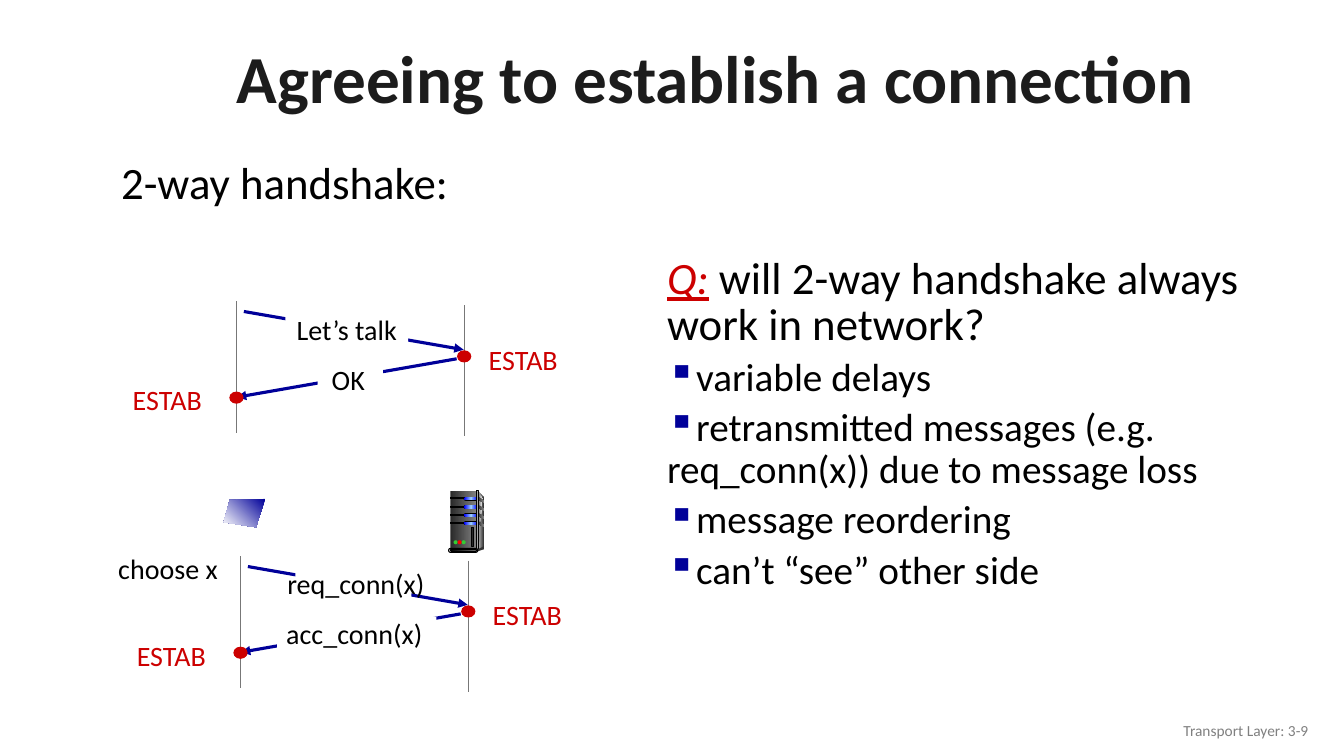
from copy import deepcopy
from dataclasses import dataclass
from typing import Any, Optional

from lxml import etree
from pptx import Presentation
from pptx.dml.color import RGBColor
from pptx.enum.shapes import MSO_CONNECTOR as Link, MSO_SHAPE as Preset
from pptx.enum.text import MSO_ANCHOR as Anchor, MSO_AUTO_SIZE as Fit, PP_ALIGN as Align
from pptx.oxml.ns import qn
from pptx.util import Pt

BLUE, RED, BLACK, WHITE = "000099", "CC0000", "000000", "FFFFFF"
METAL = ("292929", "808080")
GLOW = ("0000FF", "99CCFF", "0000FF")
LABEL_HEIGHT = 31.7


@dataclass
class Label:
    text: str
    left: float
    top: float
    width: float
    colour: str = BLACK
    size: float = 20
    align: Align = Align.CENTER
    fill: Optional[str] = None
    height: float = LABEL_HEIGHT


@dataclass
class Arrow:
    start: tuple[float, float]
    end: tuple[float, float]
    colour: str = BLUE
    width: float = 2.25
    head: bool = True


@dataclass
class Handshake:
    """One exchange: its offset, the gaps cut in the arrows, and the message labels."""
    dx: float
    dy: float
    gaps: list[tuple[float, float, float, float]]
    messages: list[Label]


def rgb(colour: str) -> RGBColor:
    return RGBColor.from_string(colour)


def set_format(target: Any, values: dict[str, Any]) -> None:
    for name, value in values.items():
        setattr(target, name, value)


def style_text(span: Any, size: float, colour: str, **extra: Any) -> None:
    set_format(span.font, {"name": "Calibri", "size": Pt(size), **extra})
    span.font.color.rgb = rgb(colour)


def paint(shape: Any, colours: tuple[str, ...], line: Optional[str] = None, angle: float = 0) -> None:
    """Fill with one colour, or with an even gradient of several."""
    shape.shadow.inherit = False
    if len(colours) == 1:
        shape.fill.solid()
        shape.fill.fore_color.rgb = rgb(colours[0])
    else:
        shape.fill.gradient()
        shape.fill.gradient_angle = angle
        stop_list = shape._element.spPr.find(".//" + qn("a:gsLst"))
        while len(stop_list) < len(colours):
            stop_list.append(deepcopy(stop_list[0]))
        for index, (stop, colour) in enumerate(zip(shape.fill.gradient_stops, colours)):
            stop.position = index / (len(colours) - 1)
            stop.color.rgb = rgb(colour)
    if line:
        shape.line.color.rgb = rgb(line)
        shape.line.width = Pt(0.75)
    else:
        shape.line.fill.background()


def add_preset(shapes: Any, kind: Preset, at: tuple[float, ...], *colours: str,
               line: Optional[str] = None) -> None:
    shape = shapes.add_shape(kind, *map(Pt, at))
    if kind == Preset.ROUNDED_RECTANGLE:
        shape.adjustments[0] = 0.5
    paint(shape, colours, line)


def add_outline(shapes: Any, points: list[tuple[float, float]], *colours: str, angle: float = 0) -> None:
    corners = [(Pt(x), Pt(y)) for x, y in points]
    builder = shapes.build_freeform(*corners[0], scale=1.0)
    builder.add_line_segments(corners[1:], close=True)
    paint(builder.convert_to_shape(), colours, angle=angle)


def add_label(shapes: Any, label: Label, dx: float = 0, dy: float = 0) -> None:
    box = shapes.add_textbox(Pt(label.left + dx), Pt(label.top + dy), Pt(label.width), Pt(label.height))
    if label.fill:
        box.fill.solid()
        box.fill.fore_color.rgb = rgb(label.fill)
    set_format(box.text_frame, {"word_wrap": False, "auto_size": Fit.SHAPE_TO_FIT_TEXT})
    para = box.text_frame.paragraphs[0]
    para.alignment = label.align
    span = para.add_run()
    span.text = label.text
    style_text(span, label.size, label.colour)


def add_arrow(shapes: Any, arrow: Arrow, dx: float, dy: float) -> None:
    (x1, y1), (x2, y2) = arrow.start, arrow.end
    line = shapes.add_connector(Link.STRAIGHT, Pt(x1 + dx), Pt(y1 + dy), Pt(x2 + dx), Pt(y2 + dy))
    line.line.color.rgb = rgb(arrow.colour)
    line.line.width = Pt(arrow.width)
    if arrow.head:
        etree.SubElement(line.line._get_or_add_ln(), qn("a:tailEnd"), type="triangle")
    etree.SubElement(line._element.spPr, qn("a:effectLst"))


def add_handshake(shapes: Any, shake: Handshake) -> None:
    dx, dy = shake.dx, shake.dy
    for arrow in (
        Arrow((174.2, 222.5), (331.2, 249.8)),
        Arrow((169.2, 215.3), (169.2, 309.6), "777777", 0.75, False),
        Arrow((331.9, 218.2), (331.9, 311.8), "777777", 0.75, False),
        Arrow((326.2, 256.3), (169.2, 283.7)),
    ):
        add_arrow(shapes, arrow, dx, dy)
    for gap in shake.gaps:
        add_preset(shapes, Preset.RECTANGLE, gap, WHITE)
    for message in shake.messages:
        add_label(shapes, message)
    for left, top in ((340.6, 241.2), (86.4, 270)):
        add_label(shapes, Label("ESTAB", left, top, 66.2, RED), dx, dy)
    for left, top in ((164.2, 280.1), (326.9, 250.6)):
        add_preset(shapes, Preset.OVAL, (left + dx, top + dy, 9.4, 7.9), RED, line=RED)


def add_server(shapes: Any) -> None:
    parts = shapes.add_group_shape().shapes
    pill = Preset.ROUNDED_RECTANGLE
    add_outline(parts, [(341.3, 350.6), (345.6, 355.7), (345.6, 391), (340.6, 392.4)], "DDDDDD", "333333")
    add_preset(parts, Preset.RECTANGLE, (321.8, 350.6, 18.7, 41.8), *METAL)
    add_outline(parts, [(342, 352.8), (344.9, 356.4), (342.7, 374), (342, 391)], "808080", "F8F8F8")
    for bay in range(4):
        top = 355 + 5.76 * bay
        add_preset(parts, Preset.RECTANGLE, (321.8, top + 0.7, 10.4, 0.7), BLACK, line=BLACK)
        add_preset(parts, pill, (331.2, top, 10.1, 2.7), BLACK)
        add_preset(parts, pill, (331.6, top + 0.3, 9.6, 2.2), *GLOW)
        vent = [(341.3, top), (345.6, top + 2.5), (345.6, top + 4), (341, top + 1.7)]
        add_outline(parts, vent, *METAL)
    add_preset(parts, Preset.RECTANGLE, (340.6, 350.6, 1.4, 41.8), "333333", "DDDDDD", "333333", line=BLACK)
    add_preset(parts, Preset.OVAL, (344.9, 390.2, 0.7, 1.4), "333333")
    add_outline(parts, [(341.3, 392.4), (341.3, 393.8), (345.6, 392.4), (345.6, 390.2)], "333333")
    add_preset(parts, pill, (320.4, 391.7, 20.9, 2.9), "DDDDDD", line=BLACK)
    add_preset(parts, pill, (321.8, 392.4, 18.7, 1.4), BLACK, "808080", line=BLACK)
    for index, colour in enumerate(("33CC33", "FF0000", "33CC33")):
        add_preset(parts, Preset.OVAL, (324 + 2.9 * index, 385.9, 2.9, 2.9), colour)
    add_preset(parts, Preset.RECTANGLE, (337, 376.6, 1.4, 13.7), "292929", line=BLACK)


def add_question(shapes: Any) -> None:
    frame = shapes.add_textbox(Pt(469.4), Pt(180.7), Pt(434.9), Pt(281.5)).text_frame
    frame.word_wrap = True
    para = frame.paragraphs[0]
    set_format(para._p.get_or_add_pPr(), {"marL": Pt(22.3), "indent": Pt(-22.3)})
    para.line_spacing = 0.85
    for text, colour, marked in (("Q:", RED, True),
                                 (" will 2-way handshake always work in network?", BLACK, False)):
        span = para.add_run()
        span.text = text
        style_text(span, 32, colour, italic=marked, underline=marked)
    for text in ("variable delays", "retransmitted messages (e.g. req_conn(x)) due to message loss",
                 "message reordering", "can’t “see” other side"):
        para = frame.add_paragraph()
        props = para._p.get_or_add_pPr()
        set_format(props, {"marL": Pt(27.4), "indent": Pt(-22.3)})
        bullet_colour = etree.SubElement(props, qn("a:buClr"))
        etree.SubElement(bullet_colour, qn("a:srgbClr"), val=BLUE)
        etree.SubElement(props, qn("a:buChar"), char="▪")
        set_format(para, {"line_spacing": 0.9, "space_before": Pt(5.6)})
        span = para.add_run()
        span.text = text
        style_text(span, 28, BLACK)


def main() -> None:
    deck = Presentation()
    set_format(deck, {"slide_width": Pt(960), "slide_height": Pt(540)})
    page = deck.slides.add_slide(deck.slide_layouts[5])
    shapes = page.shapes
    title = shapes.title
    set_format(title, {"left": Pt(62.6), "top": Pt(23), "width": Pt(897.1), "height": Pt(70.6)})
    title.text_frame.text = "Agreeing to establish a connection"
    set_format(title.text_frame, {"vertical_anchor": Anchor.MIDDLE, "auto_size": Fit.NONE})
    para = title.text_frame.paragraphs[0]
    set_format(para, {"alignment": Align.CENTER, "line_spacing": 0.9})
    style_text(para.runs[0], 48, "1C1C1C", bold=True)

    add_question(shapes)
    add_label(shapes, Label("2-way handshake:", 77, 106.6, 252.7, size=32, height=46))
    add_handshake(shapes, Handshake(
        0, 0, [(226.8, 257.8, 46.8, 28.1)],
        [Label("Let’s talk", 203.8, 219.6, 87.8, fill=WHITE), Label("OK", 229.7, 255.6, 38.2, fill=WHITE)]))
    add_handshake(shapes, Handshake(
        2.9, 182.2, [(211, 403.9, 82.8, 28.1), (229.7, 439.9, 46.8, 28.1), (198, 440.6, 113.8, 22.3)],
        [Label("req_conn(x)", 197.3, 401, 113.8), Label("acc_conn(x)", 196.6, 437, 113)]))
    add_label(shapes, Label("choose x", 76.3, 390.2, 86.4, align=Align.RIGHT))
    screen = [(189.4, 356.4), (164.2, 357.1), (159.8, 373), (182.9, 376.6)]
    add_outline(shapes, screen, BLUE, WHITE, angle=225)
    add_server(shapes)
    add_label(shapes, Label("Transport Layer: 3-9", 725.8, 511.6, 216, "808080", 11, Align.RIGHT, height=20.6))
    deck.save("out.pptx")


if __name__ == "__main__":
    main()
